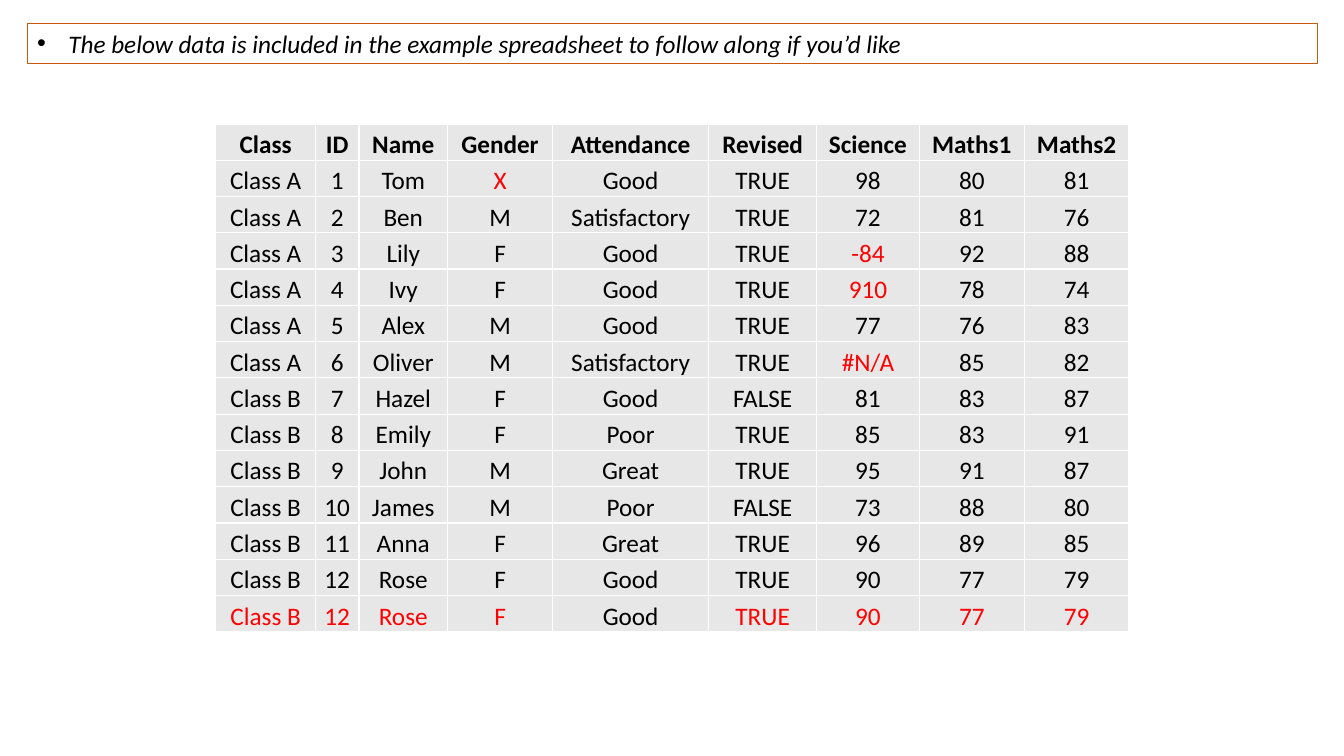
"""Build a slide showing the example class data, with faulty entries in red."""
from dataclasses import dataclass

from lxml.etree import SubElement
from pptx import Presentation
from pptx.dml.color import RGBColor
from pptx.enum.shapes import MSO_SHAPE
from pptx.enum.text import MSO_ANCHOR, PP_ALIGN
from pptx.oxml.ns import qn
from pptx.util import Inches, Pt


@dataclass(frozen=True)
class Theme:
    font: str = "Calibri"
    size: int = 18
    ink: str = "000000"
    error: str = "FF0000"
    cell: str = "E7E7E7"
    border: str = "FFFFFF"
    outline: str = "C55A11"


theme = Theme()


def write(frame, text, color=theme.ink, bold=False, italic=False, align=PP_ALIGN.LEFT):
    para = frame.paragraphs[0]
    para.alignment = align
    span = para.add_run()
    span.text = text
    span.font.name = theme.font
    span.font.size = Pt(theme.size)
    span.font.bold = bold
    span.font.italic = italic
    span.font.color.rgb = RGBColor.from_string(color)
    return para


def add_borders(cell, color, width):
    properties = cell._tc.get_or_add_tcPr()
    for side in ("a:lnL", "a:lnR", "a:lnT", "a:lnB"):
        line = SubElement(properties, qn(side), w=str(Pt(width)))
        fill = SubElement(line, qn("a:solidFill"))
        SubElement(fill, qn("a:srgbClr"), val=color)


deck = Presentation()
deck.slide_width = Inches(13.33)
deck.slide_height = Inches(7.5)
page = deck.slides.add_slide(deck.slide_layouts[6])

records = [
    ("Class", "ID", "Name", "Gender", "Attendance", "Revised", "Science", "Maths1", "Maths2"),
    ("Class A", "1", "Tom", "X", "Good", "TRUE", "98", "80", "81"),
    ("Class A", "2", "Ben", "M", "Satisfactory", "TRUE", "72", "81", "76"),
    ("Class A", "3", "Lily", "F", "Good", "TRUE", "-84", "92", "88"),
    ("Class A", "4", "Ivy", "F", "Good", "TRUE", "910", "78", "74"),
    ("Class A", "5", "Alex", "M", "Good", "TRUE", "77", "76", "83"),
    ("Class A", "6", "Oliver", "M", "Satisfactory", "TRUE", "#N/A", "85", "82"),
    ("Class B", "7", "Hazel", "F", "Good", "FALSE", "81", "83", "87"),
    ("Class B", "8", "Emily", "F", "Poor", "TRUE", "85", "83", "91"),
    ("Class B", "9", "John", "M", "Great", "TRUE", "95", "91", "87"),
    ("Class B", "10", "James", "M", "Poor", "FALSE", "73", "88", "80"),
    ("Class B", "11", "Anna", "F", "Great", "TRUE", "96", "89", "85"),
    ("Class B", "12", "Rose", "F", "Good", "TRUE", "90", "77", "79"),
    ("Class B", "12", "Rose", "F", "Good", "TRUE", "90", "77", "79"),
]
faulty_values = {"X", "-84", "910", "#N/A"}
duplicate_row = len(records) - 1
column_widths = [0.99, 0.43, 0.88, 1.04, 1.55, 1.07, 1.02, 1.04, 1.04]
row_height = 0.36

table = page.shapes.add_table(
    len(records), len(column_widths), Inches(2.14), Inches(1.23),
    Inches(sum(column_widths)), Inches(row_height * len(records)),
).table
table.horz_banding = False
for column, width in zip(table.columns, column_widths):
    column.width = Inches(width)

for row_index, record in enumerate(records):
    table.rows[row_index].height = Inches(row_height)
    for column_index, value in enumerate(record):
        cell = table.cell(row_index, column_index)
        cell.margin_left = cell.margin_right = cell.margin_top = Inches(0.01)
        cell.margin_bottom = 0
        cell.vertical_anchor = MSO_ANCHOR.BOTTOM
        add_borders(cell, theme.border, 1)
        cell.fill.solid()
        cell.fill.fore_color.rgb = RGBColor.from_string(theme.cell)
        duplicated = row_index == duplicate_row and value != "Good"
        is_error = duplicated or value in faulty_values
        write(cell.text_frame, value, color=theme.error if is_error else theme.ink,
              bold=row_index == 0, align=PP_ALIGN.CENTER)

box = page.shapes.add_shape(
    MSO_SHAPE.RECTANGLE, Inches(0.27), Inches(0.23), Inches(12.8), Inches(0.4))
box.shadow.inherit = False
box.fill.background()
box.line.color.rgb = RGBColor.from_string(theme.outline)
box.line.width = Pt(0.75)
box.text_frame.word_wrap = True
box.text_frame.vertical_anchor = MSO_ANCHOR.TOP
para = write(
    box.text_frame,
    "The below data is included in the example spreadsheet to follow along if you’d like",
    italic=True)
bullet = para._p.get_or_add_pPr()
bullet.set("marL", str(Inches(0.31)))
bullet.set("indent", str(-Inches(0.31)))
SubElement(bullet, qn("a:buFont"), typeface="Arial")
SubElement(bullet, qn("a:buChar"), char="•")

deck.save("out.pptx")
